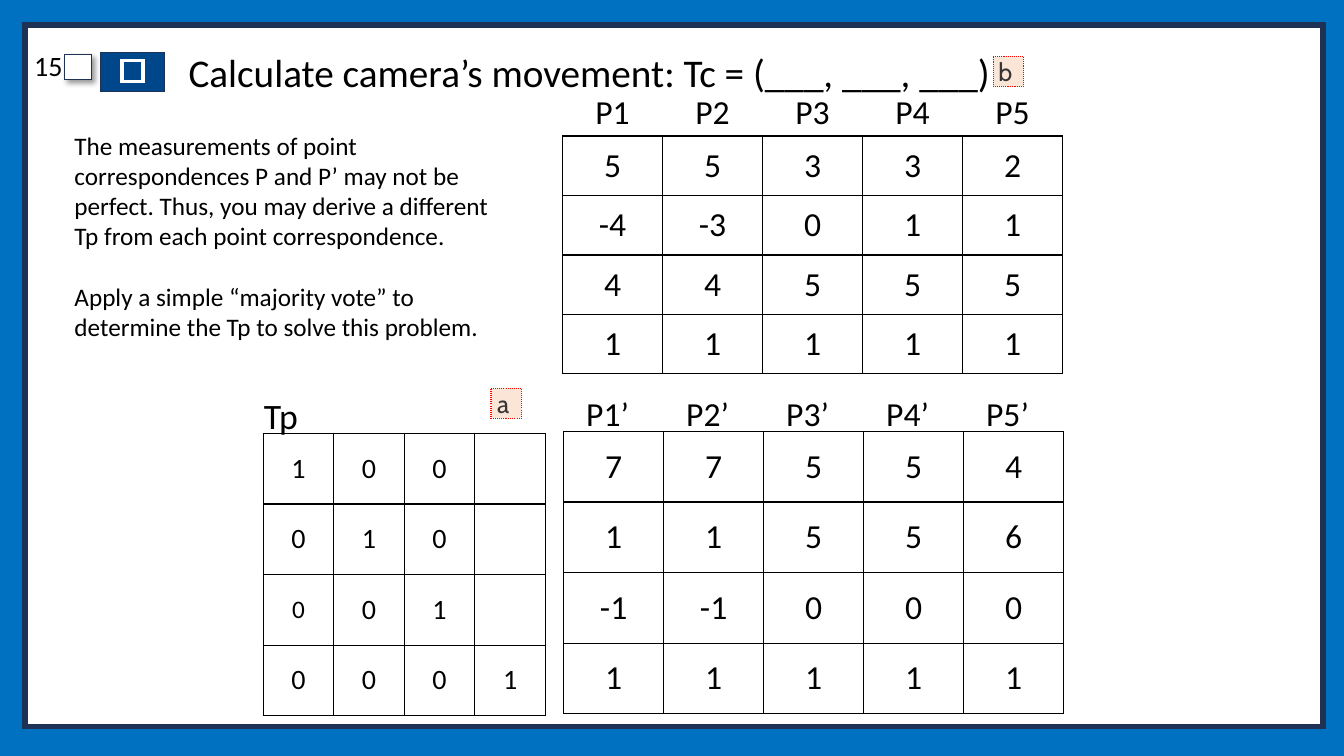
from dataclasses import dataclass
from typing import Optional

from lxml import etree
from pptx import Presentation
from pptx.dml.color import RGBColor
from pptx.enum.dml import MSO_LINE
from pptx.enum.shapes import MSO_SHAPE
from pptx.enum.text import MSO_ANCHOR, MSO_AUTO_SIZE, PP_ALIGN
from pptx.oxml.ns import qn
from pptx.util import Inches, Pt

RECTANGLE = MSO_SHAPE.RECTANGLE
DOTTED = MSO_LINE.ROUND_DOT
MIDDLE = MSO_ANCHOR.MIDDLE
LEFT, CENTER, RIGHT = PP_ALIGN.LEFT, PP_ALIGN.CENTER, PP_ALIGN.RIGHT
GROW = MSO_AUTO_SIZE.SHAPE_TO_FIT_TEXT
BLACK, WHITE, NAVY, BLUE = "000000", "FFFFFF", "1E3256", "00468B"


@dataclass(frozen=True)
class Box:
    left: float
    top: float
    width: float
    height: float
    fill: str
    line: str
    weight: float


@dataclass(frozen=True)
class Matrix:
    left: float
    top: float
    width: float
    height: float
    rows: list[list[str]]
    size: int = 24
    bordered: bool = True
    small_cell: Optional[tuple[int, int]] = None


@dataclass(frozen=True)
class AnswerMark:
    left: float
    top: float
    letter: str


FRAME_PARTS = [
    Box(0.25, 0.25, 12.87, 6.96, WHITE, NAVY, 4),
    Box(1, 0.52, 0.63, 0.39, BLUE, NAVY, 1),
    Box(1.21, 0.6, 0.21, 0.21, BLUE, WHITE, 2.5),
]
CHECKBOX = Box(0.64, 0.54, 0.27, 0.25, WHITE, NAVY, 1)

MATRICES = [
    Matrix(2.61, 4.3, 2.8, 2.8, [
        ["1", "0", "0", ""],
        ["0", "1", "0", ""],
        ["0", "0", "1", ""],
        ["0", "0", "0", "1"],
    ], size=20, small_cell=(2, 0)),
    Matrix(5.58, 1.35, 4.96, 2.36, [
        ["5", "5", "3", "3", "2"],
        ["-4", "-3", "0", "1", "1"],
        ["4", "4", "5", "5", "5"],
        ["1", "1", "1", "1", "1"],
    ]),
    Matrix(5.59, 4.28, 4.96, 2.8, [
        ["7", "7", "5", "5", "4"],
        ["1", "1", "5", "5", "6"],
        ["-1", "-1", "0", "0", "0"],
        ["1", "1", "1", "1", "1"],
    ]),
    Matrix(5.58, 0.87, 4.96, 0.5, [["P1", "P2", "P3", "P4", "P5"]], bordered=False),
    Matrix(5.53, 3.86, 4.96, 0.5, [["P1’", "P2’", "P3’", "P4’", "P5’"]], bordered=False),
]
ANSWER_MARKS = [AnswerMark(4.87, 3.85, "a "), AnswerMark(9.85, 0.56, "b ")]
EXPLANATION = [
    "The measurements of point correspondences P and P’ may not be perfect. "
    "Thus, you may derive a different Tp from each point correspondence.",
    "Apply a simple “majority vote” to determine the Tp to solve this problem.",
]


def rgb(value: str) -> RGBColor:
    return RGBColor.from_string(value)


def style_paragraph(paragraph, size: float, align=LEFT, font="Calibri", color=BLACK) -> None:
    paragraph.alignment = align
    for target in (paragraph, *paragraph.runs):
        target.font.size = Pt(size)
        target.font.name = font
        target.font.color.rgb = rgb(color)


def draw_box(slide, box: Box):
    shape = slide.shapes.add_shape(
        RECTANGLE, Inches(box.left), Inches(box.top), Inches(box.width), Inches(box.height))
    shape.shadow.inherit = False
    shape.fill.solid()
    shape.fill.fore_color.rgb = rgb(box.fill)
    shape.line.color.rgb = rgb(box.line)
    shape.line.width = Pt(box.weight)
    outline = shape._element.spPr.find(qn("a:ln"))
    etree.SubElement(outline, qn("a:miter"), lim="800000")
    return shape


def add_drop_shadow(shape) -> None:
    effects = shape._element.spPr.find(qn("a:effectLst"))
    shadow = etree.SubElement(effects, qn("a:outerShdw"), blurRad=str(Pt(4)),
                              dist=str(Pt(3)), dir="2700000", algn="tl", rotWithShape="0")
    color = etree.SubElement(shadow, qn("a:srgbClr"), val=BLACK)
    etree.SubElement(color, qn("a:alpha"), val="40000")


def draw_text(slide, left: float, top: float, width: float, height: float,
              paragraphs: list[str], size: float, align=LEFT):
    frame = slide.shapes.add_textbox(
        Inches(left), Inches(top), Inches(width), Inches(height)).text_frame
    frame.word_wrap = True
    frame.text = "\n".join(paragraphs)
    for paragraph in frame.paragraphs:
        style_paragraph(paragraph, size, align)
    return frame


def set_borders(cell, visible: bool) -> None:
    properties = cell._tc.get_or_add_tcPr()
    for side in ("lnL", "lnR", "lnT", "lnB"):
        border = etree.SubElement(properties, qn(f"a:{side}"), w=str(Pt(1)))
        if visible:
            solid = etree.SubElement(border, qn("a:solidFill"))
            etree.SubElement(solid, qn("a:srgbClr"), val=BLACK)
        else:
            etree.SubElement(border, qn("a:noFill"))


def draw_matrix(slide, matrix: Matrix) -> None:
    row_count, column_count = len(matrix.rows), len(matrix.rows[0])
    table = slide.shapes.add_table(
        row_count, column_count, Inches(matrix.left), Inches(matrix.top),
        Inches(matrix.width), Inches(matrix.height)).table
    table.first_row = False
    table.horz_banding = False
    for row, values in enumerate(matrix.rows):
        for column, value in enumerate(values):
            cell = table.cell(row, column)
            set_borders(cell, matrix.bordered)
            cell.fill.background()
            cell.vertical_anchor = MIDDLE
            cell.text_frame.text = value
            size = 18 if (row, column) == matrix.small_cell else matrix.size
            style_paragraph(cell.text_frame.paragraphs[0], size, CENTER)


def draw_answer_mark(slide, mark: AnswerMark) -> None:
    shape = draw_box(slide, Box(mark.left, mark.top, 0.3, 0.3, "FBE5D6", "FF0000", 0.75))
    shape.line.dash_style = DOTTED
    frame = shape.text_frame
    frame.margin_left = frame.margin_right = frame.margin_top = frame.margin_bottom = 0
    frame.word_wrap = True
    frame.auto_size = GROW
    frame.text = mark.letter
    style_paragraph(frame.paragraphs[0], 18, CENTER, "Cabin", "373637")


def place_title(slide) -> None:
    title = slide.shapes.title
    slide.shapes._spTree.append(title._element)
    title.left, title.top = Inches(1.77), Inches(0.4)
    title.width, title.height = Inches(10.65), Inches(0.68)
    title.text_frame.text = "Calculate camera’s movement: Tc = (___, ___, ___)"
    title.text_frame.vertical_anchor = MIDDLE
    heading = title.text_frame.paragraphs[0]
    heading.line_spacing = 0.9
    style_paragraph(heading, 28)


def main() -> None:
    presentation = Presentation()
    presentation.slide_width, presentation.slide_height = Inches(13.33), Inches(7.5)
    slide = presentation.slides.add_slide(presentation.slide_layouts[5])
    slide.background.fill.solid()
    slide.background.fill.fore_color.rgb = rgb("0070C0")

    for part in FRAME_PARTS:
        draw_box(slide, part)
    add_drop_shadow(draw_box(slide, CHECKBOX))
    page_number = draw_text(slide, -0.02, 0.47, 0.74, 0.45, ["15"], 20, RIGHT).paragraphs[0]
    page_number.line_spacing = 0.9
    page_number.space_before = Pt(10)

    place_title(slide)
    for matrix in MATRICES:
        draw_matrix(slide, matrix)

    matrix_name = draw_text(slide, 2.52, 3.45, 1.27, 0.59, ["Tp"], 44)
    matrix_name.auto_size = GROW
    matrix_name.paragraphs[0].runs[0]._r.get_or_add_rPr().set("baseline", "-25000")

    explanation = draw_text(slide, 0.64, 1.24, 4.52, 2.22, EXPLANATION, 18)
    explanation.auto_size = GROW
    explanation.paragraphs[0].space_after = Pt(21.6)

    for mark in ANSWER_MARKS:
        draw_answer_mark(slide, mark)
    presentation.save("out.pptx")


if __name__ == "__main__":
    main()
